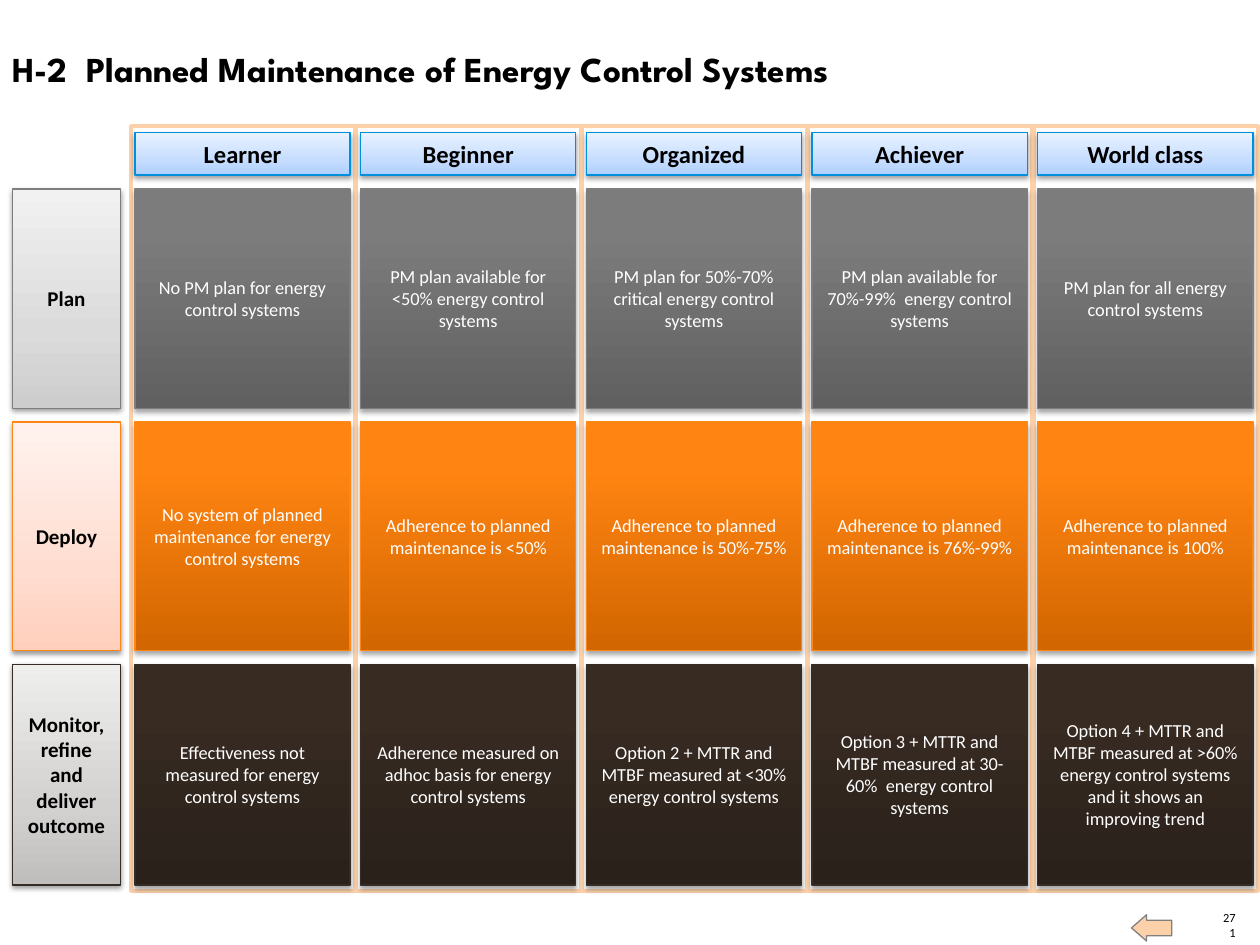
import copy
from dataclasses import dataclass

import lxml.etree
import pptx
import pptx.dml.color
import pptx.enum.shapes
import pptx.enum.text
import pptx.oxml.ns
import pptx.util

Cm = pptx.util.Cm
Pt = pptx.util.Pt
qn = pptx.oxml.ns.qn
Align = pptx.enum.text.PP_ALIGN
Anchor = pptx.enum.text.MSO_ANCHOR
Shape = pptx.enum.shapes.MSO_SHAPE


@dataclass(frozen=True)
class Theme:
    body_font: str = "Calibri"
    title_font: str = "League Spartan"
    black: str = "000000"
    white: str = "FFFFFF"
    peach: str = "FCD1AA"
    arrow_line: str = "808080"
    title_size: float = 20
    header_size: float = 14
    label_size: float = 12
    cell_size: float = 10.5
    page_size: float = 7.1
    thin: float = 0.75
    frame_line: float = 2


@dataclass(frozen=True)
class Area:
    left: float
    top: float
    width: float
    height: float

    def lengths(self) -> tuple:
        return tuple(Cm(value) for value in (self.left, self.top, self.width, self.height))


@dataclass(frozen=True)
class TextStyle:
    size: float
    color: str
    bold: bool = False
    font: str = Theme.body_font
    align: Align = Align.CENTER


@dataclass(frozen=True)
class CardStyle:
    stops: tuple
    line: str
    text: TextStyle
    shadow_alpha: int
    shadow_distance: float


@dataclass(frozen=True)
class Row:
    label: str
    height: float
    label_style: CardStyle
    cell_style: CardStyle
    cells: tuple


THEME = Theme()
HEADER_TEXT = TextStyle(THEME.header_size, THEME.black, True)
LABEL_TEXT = TextStyle(THEME.label_size, THEME.black, True)
CELL_TEXT = TextStyle(THEME.cell_size, THEME.white)
TITLE_TEXT = TextStyle(THEME.title_size, THEME.black, True, THEME.title_font, Align.LEFT)
PAGE_TEXT = TextStyle(THEME.page_size, THEME.black, align=Align.RIGHT)


def light_card(colors: tuple, line: str, text: TextStyle) -> CardStyle:
    return CardStyle(tuple(zip((0, 0.35, 1), colors)), line, text, 38, 1.6)


def dark_card(colors: tuple, line: str) -> CardStyle:
    return CardStyle(tuple(zip((0, 0.8, 1), colors)), line, CELL_TEXT, 35, 1.8)


HEADER_STYLE = light_card(("AECFFF", "C6DDFF", "E9F2FF"), "008FDC", HEADER_TEXT)
HEADERS = ("Learner", "Beginner", "Organized", "Achiever", "World class")
ROWS = (
    Row("Plan", 4.42,
        light_card(("CDCDCD", "DBDBDB", "F1F1F1"), "7D7D7D", LABEL_TEXT),
        dark_card(("606060", "7C7C7C", "7D7D7D"), "7D7D7D"),
        ("No PM plan for energy control systems",
         "PM plan available for <50% energy control systems",
         "PM plan for 50%-70% critical energy control systems",
         "PM plan available for 70%-99%  energy control systems",
         "PM plan for all energy control systems")),
    Row("Deploy", 4.6,
        light_card(("FFCFBD", "FFDDD1", "FFF2EE"), "FF8615", LABEL_TEXT),
        dark_card(("D26600", "FF8412", "FF8514"), "FF8615"),
        ("No system of planned maintenance for energy control systems",
         "Adherence to planned maintenance is <50%",
         "Adherence to planned maintenance is 50%-75%",
         "Adherence to planned maintenance is 76%-99%",
         "Adherence to planned maintenance is 100%")),
    Row("Monitor, refine and deliver outcome", 4.45,
        light_card(("C0BEBC", "D3D1D0", "EEEEED"), "352C25", LABEL_TEXT),
        dark_card(("2A211B", "372B22", "372B22"), "352C25"),
        ("Effectiveness not measured for energy control systems",
         "Adherence measured on adhoc basis for energy control systems",
         "Option 2 + MTTR and MTBF measured at <30% energy control systems",
         "Option 3 + MTTR and MTBF measured at 30-60%  energy control systems",
         "Option 4 + MTTR and MTBF measured at >60% energy control systems "
         "and it shows an improving trend")),
)

COLUMN_PITCH = 4.55
FRAME = Area(2.64, 2.54, 4.52, 15.42)
HEADER = Area(2.72, 2.67, 4.34, 0.86)
LABEL_LEFT, LABEL_WIDTH = 0.25, 2.18
ROWS_TOP, ROW_GAP = 3.81, 0.28


def rgb(color: str) -> pptx.dml.color.RGBColor:
    return pptx.dml.color.RGBColor.from_string(color)


def write_text(frame, text: str, style: TextStyle) -> None:
    frame.word_wrap = True
    para = frame.paragraphs[0]
    para.text = text
    para.alignment = style.align
    para.font.name = style.font
    para.font.size = Pt(style.size)
    para.font.bold = style.bold
    para.font.color.rgb = rgb(style.color)


def add_text(slide, area: Area, text: str, style: TextStyle):
    frame = slide.shapes.add_textbox(*area.lengths()).text_frame
    write_text(frame, text, style)
    return frame


def add_box(slide, kind, area: Area, line: str, line_width: float):
    box = slide.shapes.add_shape(kind, *area.lengths())
    box.line.color.rgb = rgb(line)
    box.line.width = Pt(line_width)
    box.shadow.inherit = False
    return box


def add_solid(slide, kind, area: Area, fill: str, line: str, line_width: float):
    box = add_box(slide, kind, area, line, line_width)
    box.fill.solid()
    box.fill.fore_color.rgb = rgb(fill)
    return box


def fill_gradient(box, stops: tuple) -> None:
    box.fill.gradient()
    box.fill.gradient_angle = 90
    stop_list = next(box._element.spPr.iter(qn("a:gsLst")))
    stop_list.insert(1, copy.deepcopy(stop_list[0]))
    for stop, (position, color) in zip(box.fill.gradient_stops, stops):
        stop.position = position
        stop.color.rgb = rgb(color)


def add_shadow(box, style: CardStyle) -> None:
    effects = box._element.spPr.find(qn("a:effectLst"))
    shadow = lxml.etree.SubElement(
        effects, qn("a:outerShdw"), blurRad=str(Pt(3.1)),
        dist=str(Pt(style.shadow_distance)), dir="5400000", rotWithShape="0")
    color = lxml.etree.SubElement(shadow, qn("a:srgbClr"), val=THEME.black)
    lxml.etree.SubElement(color, qn("a:alpha"), val=str(style.shadow_alpha * 1000))


def add_card(slide, area: Area, text: str, style: CardStyle) -> None:
    box = add_box(slide, Shape.RECTANGLE, area, style.line, THEME.thin)
    fill_gradient(box, style.stops)
    add_shadow(box, style)
    box.text_frame.vertical_anchor = Anchor.MIDDLE
    write_text(box.text_frame, text, style.text)


def across(first: Area, column: int) -> Area:
    return Area(first.left + column * COLUMN_PITCH, first.top, first.width, first.height)


def add_footer(slide) -> None:
    frame = add_text(slide, Area(24.61, 18.64, 0.3, 0.3), "271", PAGE_TEXT)
    frame.vertical_anchor = Anchor.BOTTOM
    frame.margin_left = frame.margin_right = frame.margin_top = frame.margin_bottom = 0
    arrow = add_solid(slide, Shape.RIGHT_ARROW, Area(22.81, 18.44, 0.81, 0.53),
                      THEME.peach, THEME.arrow_line, THEME.thin)
    arrow.rotation = 180
    arrow.adjustments[0] = 0.59
    arrow.adjustments[1] = 0.57


def main() -> None:
    deck = pptx.Presentation()
    deck.slide_width, deck.slide_height = Cm(25.4), Cm(19.05)
    slide = deck.slides.add_slide(deck.slide_layouts[6])
    add_footer(slide)
    add_text(slide, Area(0, 0.84, 21.84, 1.12),
             "H-2  Planned Maintenance of Energy Control Systems", TITLE_TEXT)
    for column in range(len(HEADERS)):
        add_solid(slide, Shape.RECTANGLE, across(FRAME, column),
                  THEME.white, THEME.peach, THEME.frame_line)
    top = ROWS_TOP
    for row in ROWS:
        add_card(slide, Area(LABEL_LEFT, top, LABEL_WIDTH, row.height), row.label, row.label_style)
        first = Area(HEADER.left, top, HEADER.width, row.height)
        for column, text in enumerate(row.cells):
            add_card(slide, across(first, column), text, row.cell_style)
        top += row.height + ROW_GAP
    for column, text in enumerate(HEADERS):
        add_card(slide, across(HEADER, column), text, HEADER_STYLE)
    deck.save("out.pptx")


if __name__ == "__main__":
    main()
